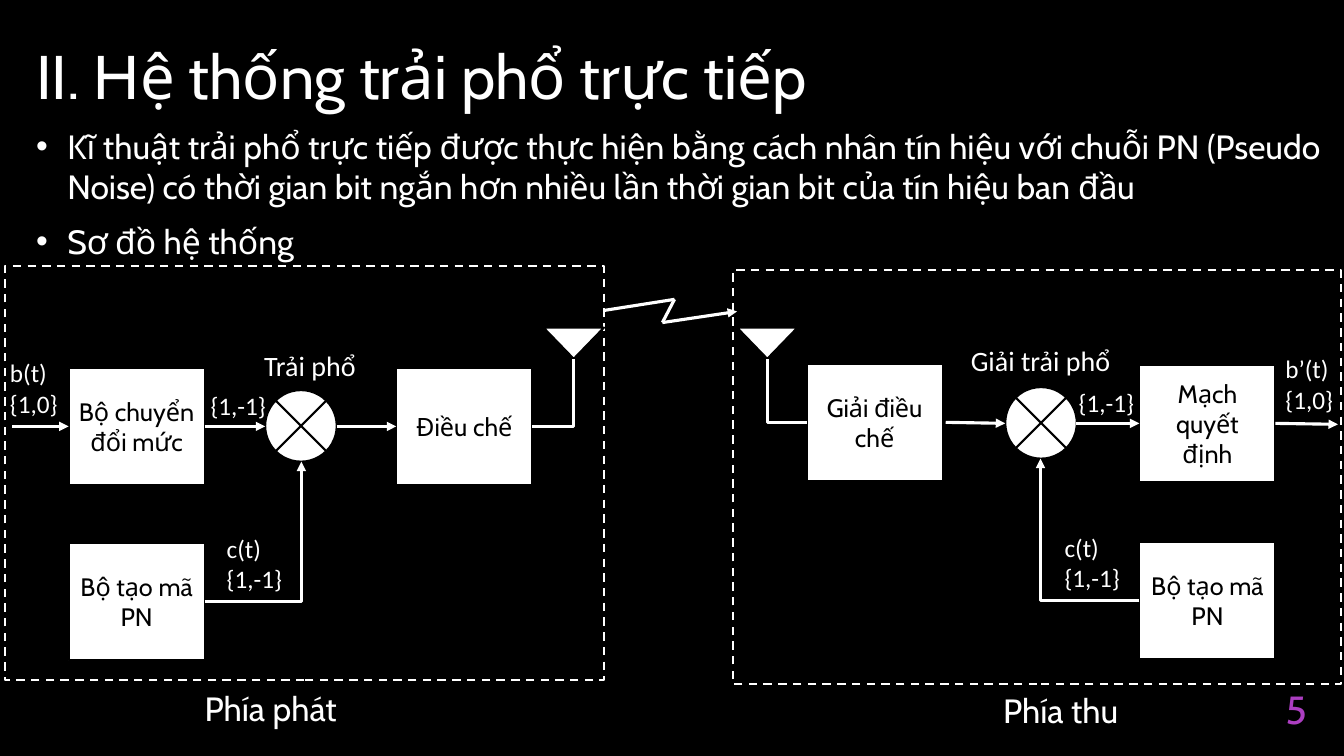
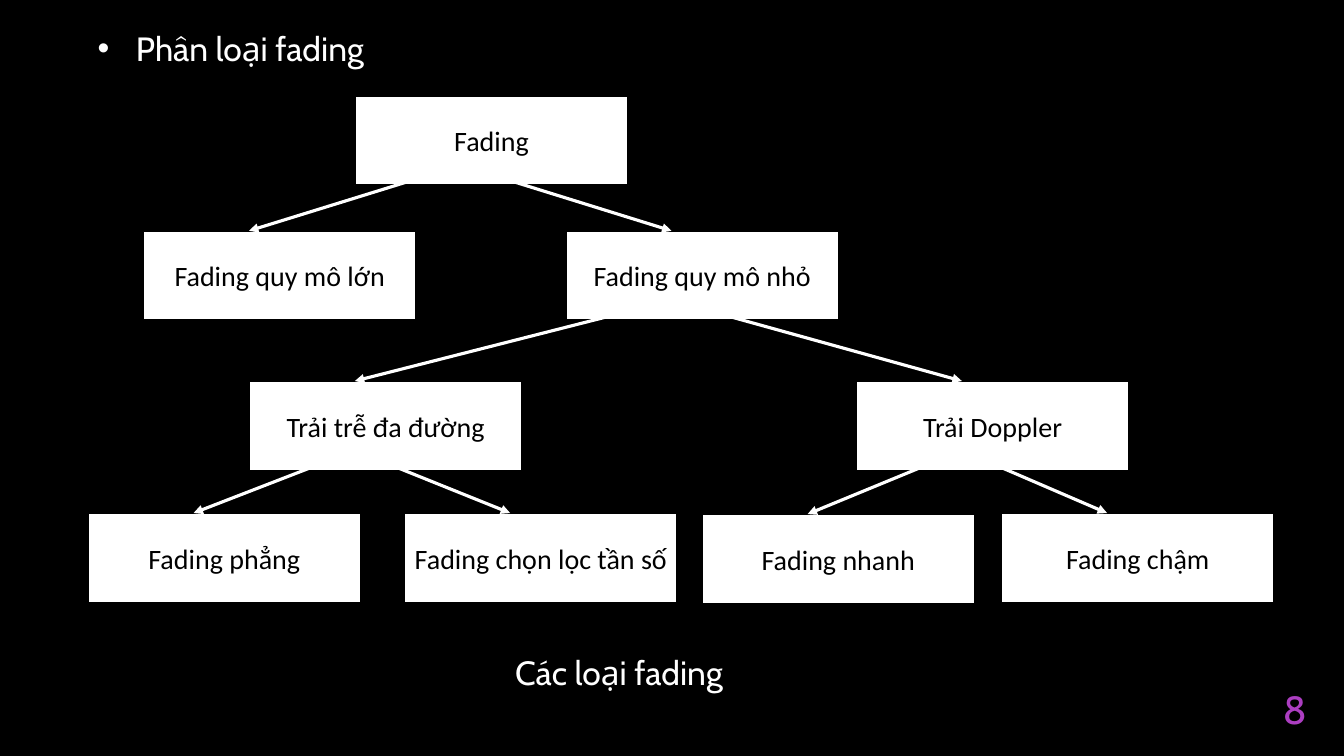
"""Build two slides: a direct-sequence spread-spectrum system and a tree of fading types."""
from lxml.etree import SubElement
from pptx import Presentation
from pptx.dml.color import RGBColor
from pptx.enum.dml import MSO_LINE
from pptx.enum.shapes import MSO_CONNECTOR as CONN, MSO_SHAPE as SHAPE
from pptx.enum.text import MSO_ANCHOR as ANCHOR, PP_ALIGN as ALIGN
from pptx.oxml.ns import qn
from pptx.util import Inches, Pt

BLACK, WHITE, PURPLE = "000000", "FFFFFF", "AC3EC1"
HEAD, BODY = "Cabin", "Calibri"
rgb = RGBColor.from_string


def box(s, at, text="", size=18, font=HEAD, colour=WHITE, kind=None, fill=WHITE,
        align=ALIGN.LEFT, anchor=ANCHOR.TOP, bullet=0, after=0):
    """Add a text box, or a preset shape when kind is given."""
    at = [Inches(v) for v in at]
    if kind is None:
        sp = s.shapes.add_textbox(*at)
    else:
        sp = s.shapes.add_shape(kind, *at)
        sp.shadow.inherit = False
        sp.line.width = Pt(1.5)
        sp.line.color.rgb = rgb(BLACK)
        if fill:
            sp.fill.solid()
            sp.fill.fore_color.rgb = rgb(fill)
        else:
            sp.fill.background()
        colour, align, anchor = BLACK, ALIGN.CENTER, ANCHOR.MIDDLE
    tf = sp.text_frame
    tf.word_wrap = True
    tf.vertical_anchor = anchor
    if text:
        tf.text = text
    for p in tf.paragraphs:
        p.alignment = align
        p.space_after = Pt(after)
        if bullet:
            pPr = p._p.get_or_add_pPr()
            pPr.set("marL", str(Inches(bullet)))
            pPr.set("indent", str(-Inches(bullet)))
            SubElement(pPr, qn("a:buFont"), typeface="Arial")
            SubElement(pPr, qn("a:buChar"), char="•")
        for r in p.runs:
            r.font.size = Pt(size)
            r.font.name = font
            r.font.color.rgb = rgb(colour)
    return sp


def line(s, start, end, arrow=True, kind=CONN.STRAIGHT, source=None, target=None):
    """Add a connector, joined to the right side of source and the left side of target."""
    c = s.shapes.add_connector(kind, *[Inches(v) for v in (*start, *end)])
    if source:
        c.begin_connect(source, 3)
    if target:
        c.end_connect(target, 1)
    if kind == CONN.ELBOW:
        c._element.spPr.find(qn("a:prstGeom")).set("prst", "bentConnector2")
    c.line.width = Pt(2.25)
    c.line.color.rgb = rgb(WHITE)
    spPr = c._element.spPr
    if arrow:
        SubElement(spPr.find(qn("a:ln")), qn("a:tailEnd"), type="triangle")
    SubElement(spPr, qn("a:effectLst"))


prs = Presentation()
prs.slide_width, prs.slide_height = Inches(13.33), Inches(7.5)
bg = prs.slide_master.background.fill
bg.solid()
bg.fore_color.rgb = rgb(BLACK)
system, tree = [prs.slides.add_slide(prs.slide_layouts[6]) for _ in range(2)]

for s, number in ((system, "5"), (tree, "8")):
    box(s, (12.2, 6.83, 0.86, 0.41), number, 28, colour=PURPLE,
        align=ALIGN.RIGHT, anchor=ANCHOR.MIDDLE)

s = system
for frame in ((0.05, 2.64, 5.94, 4.11), (7.27, 2.68, 6.03, 4.11)):
    sp = box(s, frame, kind=SHAPE.RECTANGLE, fill=None)
    sp.line.color.rgb = rgb(WHITE)
    sp.line.dash_style = MSO_LINE.DASH

box(s, (0.26, 0.28, 11.08, 0.93), "II. Hệ thống trải phổ trực tiếp", 44, anchor=ANCHOR.MIDDLE)
box(s, (0.26, 1.2, 13, 2.27),
    "Kĩ thuật trải phổ trực tiếp được thực hiện bằng cách nhân tín hiệu với chuỗi PN "
    "(Pseudo Noise) có thời gian bit ngắn hơn nhiều lần thời gian bit của tín hiệu ban đầu\n"
    "Sơ đồ hệ thống", 24, bullet=0.31, after=10)

blocks = [
    (0.68, 3.65, "Bộ chuyển đổi mức"),
    (3.93, 3.65, "Điều chế"),
    (0.68, 5.39, "Bộ tạo mã PN"),
    (8, 3.61, "Giải điều chế"),
    (11.3, 3.62, "Mạch quyết định"),
    (11.3, 5.38, "Bộ tạo mã PN"),
]
level, modulator, _, _, decision, _ = [
    box(s, (x, y, 1.35, 1.16), text, kind=SHAPE.RECTANGLE) for x, y, text in blocks]

for x, y in ((2.63, 3.87), (9.97, 3.84)):
    box(s, (x, y, 0.71, 0.71), kind=SHAPE.FLOWCHART_SUMMING_JUNCTION)
for x in (5.39, 7.31):
    box(s, (x, 3.25, 0.6, 0.31), kind=SHAPE.ISOSCELES_TRIANGLE).rotation = 180

line(s, (0.12, 4.23), (0.68, 4.23), target=level)
line(s, (2.03, 4.23), (2.63, 4.23), source=level)
line(s, (3.34, 4.23), (3.93, 4.23), target=modulator)
line(s, (9.38, 4.19), (9.97, 4.2))
line(s, (10.67, 4.2), (11.3, 4.2), target=decision)
line(s, (12.65, 4.2), (13.27, 4.21), source=decision)

for start, end, arrow in (
    ((2.03, 5.97), (2.99, 4.58), True),
    ((11.3, 5.96), (10.32, 4.55), True),
    ((5.28, 4.23), (5.69, 3.56), False),
    ((8, 4.19), (7.61, 3.56), False),
):
    line(s, start, end, arrow, CONN.ELBOW)

radio = [(5.99, 3.08), (6.69, 2.97), (6.57, 3.2), (7.31, 3.09)]
for start, end in zip(radio, radio[1:]):
    line(s, start, end, arrow=end == radio[-1])

for x, y, w, h, text, size, font in (
    (0, 3.5, 0.82, 0.71, "b(t) {1,0}", 18, BODY),
    (1.99, 3.82, 0.77, 0.4, "{1,-1}", 18, BODY),
    (2.15, 5.24, 0.82, 0.71, "c(t) {1,-1}", 18, BODY),
    (2.52, 3.41, 1.35, 0.44, "Trải phổ", 20, BODY),
    (9.53, 3.36, 1.62, 0.44, "Giải trải phổ", 20, BODY),
    (10.46, 5.23, 0.82, 0.71, "c(t) {1,-1}", 18, BODY),
    (10.6, 3.79, 0.77, 0.4, "{1,-1}", 18, BODY),
    (12.65, 3.46, 0.82, 0.71, "b’(t) {1,0}", 18, BODY),
    (1.93, 6.78, 1.65, 0.5, "Phía phát", 24, HEAD),
    (9.85, 6.8, 1.65, 0.5, "Phía thu", 24, HEAD),
):
    box(s, (x, y, w, h), text, size, font)

s = tree
box(s, (0.87, 0.23, 3.01, 0.5), "Phân loại fading", 24, bullet=0.38)
box(s, (5.01, 6.42, 2.67, 0.5), "Các loại fading", 24)

nodes = [
    (3.52, 0.95, "Fading", None),
    (1.42, 2.29, "Fading quy mô lớn", 0),
    (5.61, 2.29, "Fading quy mô nhỏ", 0),
    (2.47, 3.78, "Trải trễ đa đường", 2),
    (8.49, 3.78, "Trải Doppler", 2),
    (0.87, 5.09, "Fading phẳng", 3),
    (4.01, 5.09, "Fading chọn lọc tần số", 3),
    (6.96, 5.1, "Fading nhanh", 4),
    (9.93, 5.09, "Fading chậm", 4),
]
for x, y, text, _ in nodes:
    box(s, (x, y, 2.71, 0.89), text, 20, BODY, kind=SHAPE.RECTANGLE)
for x, y, _, parent in nodes[1:]:
    px, py = nodes[parent][:2]
    line(s, (px + 1.05, py + 0.69), (x + 1.05, y))

prs.save("out.pptx")
